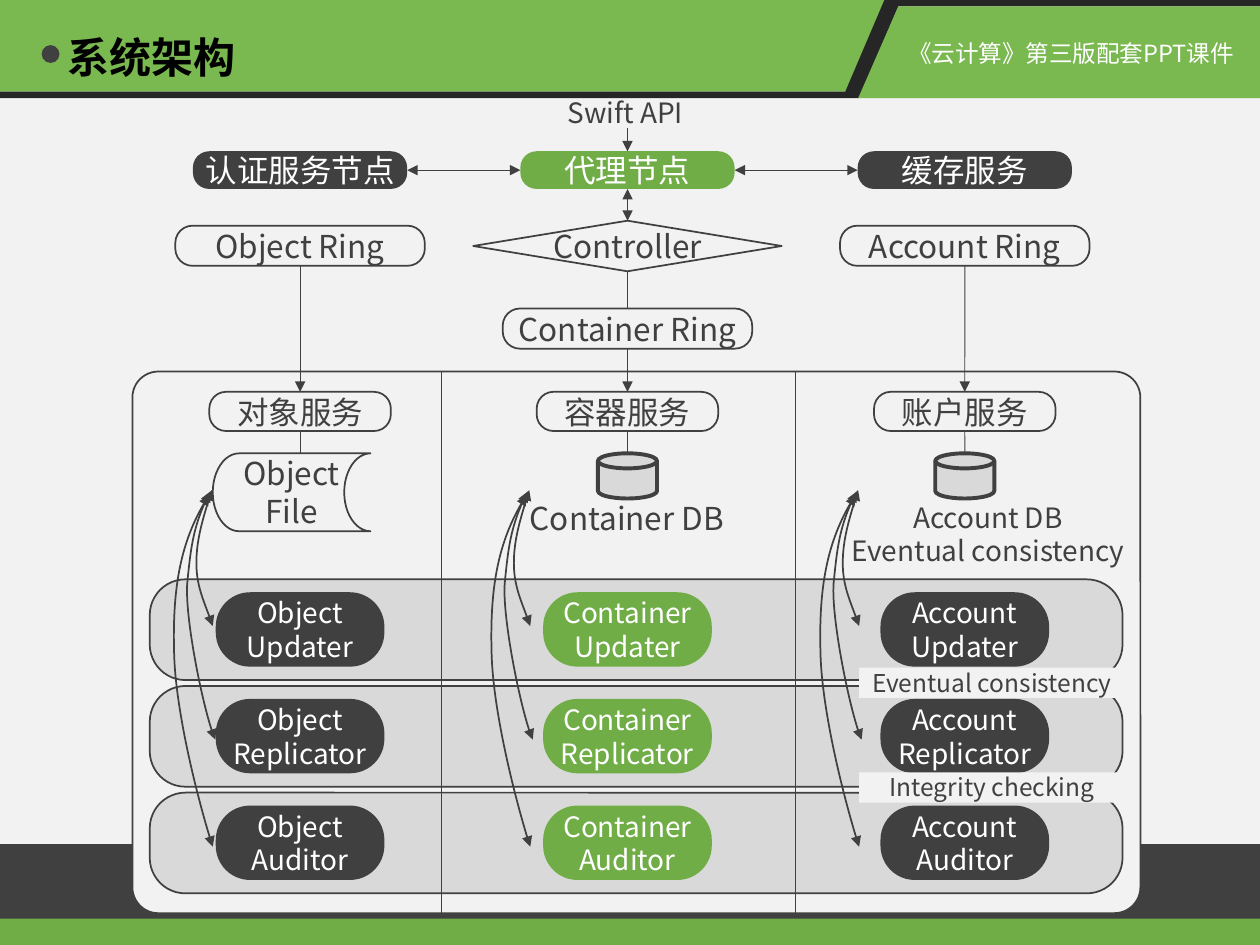
from dataclasses import dataclass
from typing import NamedTuple, Optional, Sequence

from lxml.etree import SubElement
from pptx import Presentation
from pptx.dml.color import RGBColor
from pptx.enum.shapes import MSO_CONNECTOR, MSO_SHAPE as Preset
from pptx.enum.text import MSO_ANCHOR as Anchor, MSO_AUTO_SIZE as AutoSize, PP_ALIGN as Align
from pptx.oxml.ns import qn
from pptx.util import Cm, Pt

FONT = "Noto Sans CJK SC"
WHITE = RGBColor(0xFF, 0xFF, 0xFF)
BLACK = RGBColor(0x00, 0x00, 0x00)
PALE = RGBColor(0xF2, 0xF2, 0xF2)
SILVER = RGBColor(0xD9, 0xD9, 0xD9)
GREY = RGBColor(0x40, 0x40, 0x40)
CHARCOAL = RGBColor(0x26, 0x26, 0x26)
GREEN = RGBColor(0x70, 0xAD, 0x47)
HEADER_GREEN = RGBColor(0x7A, 0xB8, 0x50)

TOP, LEFT, BOTTOM, RIGHT = range(4)
COLUMNS = (6.05, 12.65, 19.45)  # column centres, cm
ROW_PITCH = 2.15


class Frame(NamedTuple):
    """Left, top, width and height in centimetres."""
    left: float
    top: float
    width: float
    height: float


class Point(NamedTuple):
    x: float
    y: float


@dataclass(frozen=True)
class Look:
    fill: RGBColor
    outline: Optional[float] = None
    ink: RGBColor = GREY
    size: float = 18
    radius: Optional[float] = None


DARK_NODE = Look(GREY, ink=WHITE, radius=0.429)
GREEN_NODE = Look(GREEN, ink=WHITE, radius=0.429)
OUTLINED = Look(PALE, 1, radius=0.429)
PLAIN = Look(PALE, 1)
DISK = Look(SILVER, 2.25)
BAND = Look(SILVER, 1, radius=0.354)
DARK_WORKER = Look(GREY, ink=WHITE, size=16, radius=0.461)
GREEN_WORKER = Look(GREEN, ink=WHITE, size=16, radius=0.461)
TAG = Look(PALE, size=14)


def centred(x: float, top: float, width: float, height: float) -> Frame:
    return Frame(x - width / 2, top, width, height)


def write(text_frame, lines: Sequence[str], size: float, ink: RGBColor,
          align=Align.CENTER, bold: bool = False) -> None:
    for number, line in enumerate(lines):
        para = text_frame.add_paragraph() if number else text_frame.paragraphs[0]
        para.alignment = align
        span = para.add_run()
        span.text = line
        span.font.size, span.font.bold = Pt(size), bold
        span.font.color.rgb = ink
        span.font.name = FONT
        SubElement(span._r.get_or_add_rPr(), qn("a:ea"), typeface=FONT)


def draw_shape(page, preset, frame: Frame, look: Look, *lines: str):
    shape = page.shapes.add_shape(preset, *map(Cm, frame))
    shape.shadow.inherit = False
    if look.radius is not None:
        shape.adjustments[0] = look.radius
    shape.fill.solid()
    shape.fill.fore_color.rgb = look.fill
    if look.outline:
        shape.line.color.rgb, shape.line.width = GREY, Pt(look.outline)
    else:
        shape.line.fill.background()
    box = shape.text_frame
    box.word_wrap, box.vertical_anchor = True, Anchor.MIDDLE
    box.margin_left = box.margin_right = 0
    box.margin_top = box.margin_bottom = Cm(0.13)
    write(box, lines, look.size, look.ink)
    return shape


def draw_tag(page, top: float, line: str) -> None:
    box = draw_shape(page, Preset.RECTANGLE, Frame(17.32, top, 5.36, 0.61), TAG, line).text_frame
    box.margin_top = box.margin_bottom = 0
    box.vertical_anchor, box.auto_size = Anchor.TOP, AutoSize.SHAPE_TO_FIT_TEXT


def draw_text(page, frame: Frame, lines: Sequence[str], size: float, ink: RGBColor = GREY,
              align=Align.CENTER, bold: bool = False, wrap: bool = False) -> None:
    box = page.shapes.add_textbox(*map(Cm, frame)).text_frame
    box.word_wrap, box.auto_size = wrap, AutoSize.SHAPE_TO_FIT_TEXT
    write(box, lines, size, ink, align, bold)


def add_arrowheads(line, head: bool, tail: bool) -> None:
    for tag, wanted in (("a:headEnd", head), ("a:tailEnd", tail)):
        if wanted:
            SubElement(line.line._get_or_add_ln(), qn(tag), type="triangle")


def draw_line(page, start: Point, end: Point, head: bool = False, tail: bool = False):
    line = page.shapes.add_connector(MSO_CONNECTOR.STRAIGHT, *map(Cm, start + end))
    line.line.color.rgb, line.line.width = GREY, Pt(0.5)
    add_arrowheads(line, head, tail)
    SubElement(line.element.spPr, qn("a:effectLst"))
    return line


def join(page, first, first_side: int, second, second_side: int,
         head: bool = False, tail: bool = True) -> None:
    line = draw_line(page, Point(0, 0), Point(1, 1), head, tail)
    line.begin_connect(first, first_side)
    line.end_connect(second, second_side)


def draw_outline(page, points: Sequence[tuple], close: bool = True):
    corners = [(Cm(x), Cm(y)) for x, y in points]
    builder = page.shapes.build_freeform(*corners[0])
    builder.add_line_segments(corners[1:], close=close)
    shape = builder.convert_to_shape()
    shape.shadow.inherit = False
    return shape


def draw_polygon(page, fill: RGBColor, points: Sequence[tuple]) -> None:
    shape = draw_outline(page, points)
    shape.fill.solid()
    shape.fill.fore_color.rgb = fill
    shape.line.fill.background()


def draw_curve(page, points: Sequence[tuple]) -> None:
    """Draw a two-headed Bezier curve: a start, then two controls and an end per segment."""
    shape = draw_outline(page, points, close=False)
    shape.fill.background()
    shape.line.color.rgb, shape.line.width = GREY, Pt(1)
    add_arrowheads(shape, True, True)
    outline = next(shape.element.iter(qn("a:moveTo"))).getparent()
    segments = outline.findall(qn("a:lnTo"))
    for first in range(0, len(segments), 3):
        bezier = SubElement(outline, qn("a:cubicBezTo"))
        for segment in segments[first:first + 3]:
            bezier.append(segment[0])
            outline.remove(segment)


def draw_header_and_footer(page) -> None:
    draw_shape(page, Preset.RECTANGLE, Frame(0, 17.02, 25.4, 1.52), Look(GREY))
    draw_shape(page, Preset.RECTANGLE, Frame(0, 18.52, 25.4, 0.53), Look(GREEN))
    draw_polygon(page, HEADER_GREEN, [(0, 0), (25.4, 0), (17.91, 0), (17.12, 1.85), (0, 1.85)])
    draw_polygon(page, CHARCOAL, [(18.01, 0), (25.4, 0), (25.4, 0.13), (18.11, 0.13), (17.32, 1.98),
                                  (0, 1.98), (0, 1.85), (17.04, 1.85), (17.83, 0)])
    draw_polygon(page, HEADER_GREEN, [(18.11, 0.13), (25.4, 0.13), (25.4, 1.98), (17.3, 1.98)])
    draw_text(page, Frame(18.06, 0.66, 7.14, 0.84), ["《云计算》第三版配套PPT课件"], 13.5, WHITE,
              Align.LEFT, wrap=True)
    draw_text(page, Frame(1.12, 0.51, 3.94, 1.27), ["系统架构"], 24, BLACK, Align.LEFT, bold=True)
    draw_shape(page, Preset.OVAL, Frame(0.84, 0.91, 0.36, 0.36), Look(GREY))


def draw_architecture(page) -> None:
    rounded, middle = Preset.ROUNDED_RECTANGLE, COLUMNS[1]
    draw_shape(page, rounded, Frame(2.67, 7.49, 20.32, 10.92), Look(PALE, 1, radius=0.048))
    trunk = draw_line(page, Point(middle, 5.46), Point(middle, 7.9), tail=True)

    nodes = [draw_shape(page, rounded, centred(x, 3.05, 4.32, 0.76), look, name)
             for x, look, name in zip(COLUMNS, (DARK_NODE, GREEN_NODE, DARK_NODE),
                                      ("认证服务节点", "代理节点", "缓存服务"))]
    controller = draw_shape(page, Preset.DIAMOND, centred(middle, 4.45, 6.22, 1.02), PLAIN, "Controller")
    rings = [draw_shape(page, rounded, centred(x, top, 5.03, 0.81), OUTLINED, f"{name} Ring")
             for x, top, name in zip(COLUMNS, (4.55, 6.22, 4.55), ("Object", "Container", "Account"))]
    services = [draw_shape(page, rounded, centred(x, 7.9, 3.66, 0.79), OUTLINED, name)
                for x, name in zip(COLUMNS, ("对象服务", "容器服务", "账户服务"))]

    draw_shape(page, Preset.FLOWCHART_STORED_DATA, Frame(4.29, 9.14, 3.18, 1.57), PLAIN, "Object File")
    for x in COLUMNS[1:]:
        draw_shape(page, Preset.FLOWCHART_MAGNETIC_DISK, centred(x, 9.14, 1.19, 0.91), DISK)
    draw_text(page, Frame(10.34, 9.93, 4.6, 1.02), ["Container DB"], 18)
    draw_text(page, Frame(16.84, 9.96, 6.15, 1.63), ["Account DB", "Eventual consistency"], 16)

    for row in range(3):
        draw_shape(page, rounded, Frame(3.02, 11.68 + row * ROW_PITCH, 19.61, 2.03), BAND)
    for row, job in enumerate(("Updater", "Replicator", "Auditor")):
        for x, look, lines in zip(COLUMNS, (DARK_WORKER, GREEN_WORKER, DARK_WORKER),
                                  ([f"Object {job}"], ["Container", job], ["Account", job])):
            draw_shape(page, rounded, centred(x, 11.94 + row * ROW_PITCH, 3.4, 1.5), look, *lines)

    curves = (
        [(4.27, 9.88), (4.11, 10.39), (3.96, 10.9), (3.96, 11.35), (3.96, 11.79), (4.14, 12.19), (4.29, 12.62)],
        [(4.24, 9.91), (3.89, 10.57), (3.84, 11.13), (3.78, 11.71), (3.71, 12.32), (4.11, 14.4), (4.34, 14.91)],
        [(4.22, 9.98), (3.63, 10.87), (3.48, 11.94), (3.51, 13.13), (3.53, 14.3), (4.04, 16.31), (4.29, 17.07)],
    )
    for shift in (0, 6.4, 13.03):
        for curve in curves:
            draw_curve(page, [(x + shift, y) for x, y in curve])
    draw_tag(page, 13.46, "Eventual consistency")
    draw_tag(page, 15.57, "Integrity checking")

    join(page, nodes[0], RIGHT, nodes[1], LEFT, head=True)
    join(page, nodes[1], RIGHT, nodes[2], LEFT, head=True)
    join(page, nodes[1], BOTTOM, controller, TOP, head=True)
    trunk.begin_connect(controller, BOTTOM)
    trunk.end_connect(services[1], TOP)
    for column in (0, 2):
        join(page, rings[column], BOTTOM, services[column], TOP)
    for x, service in zip(COLUMNS, services):
        draw_line(page, Point(x, 8.69), Point(x, 9.14)).begin_connect(service, BOTTOM)
    for x in (8.89, 16.03):
        draw_line(page, Point(x, 7.47), Point(x, 18.41))
    draw_line(page, Point(middle, 2.59), Point(middle, 3.05), tail=True).end_connect(nodes[1], TOP)
    draw_text(page, Frame(11.13, 1.8, 2.95, 0.94), ["Swift API"], 16)


def main() -> None:
    deck = Presentation()
    deck.slide_width, deck.slide_height = Cm(25.4), Cm(19.05)
    page = deck.slides.add_slide(deck.slide_layouts[6])
    page.background.fill.solid()
    page.background.fill.fore_color.rgb = PALE
    draw_header_and_footer(page)
    draw_architecture(page)
    deck.save("out.pptx")


if __name__ == "__main__":
    main()
